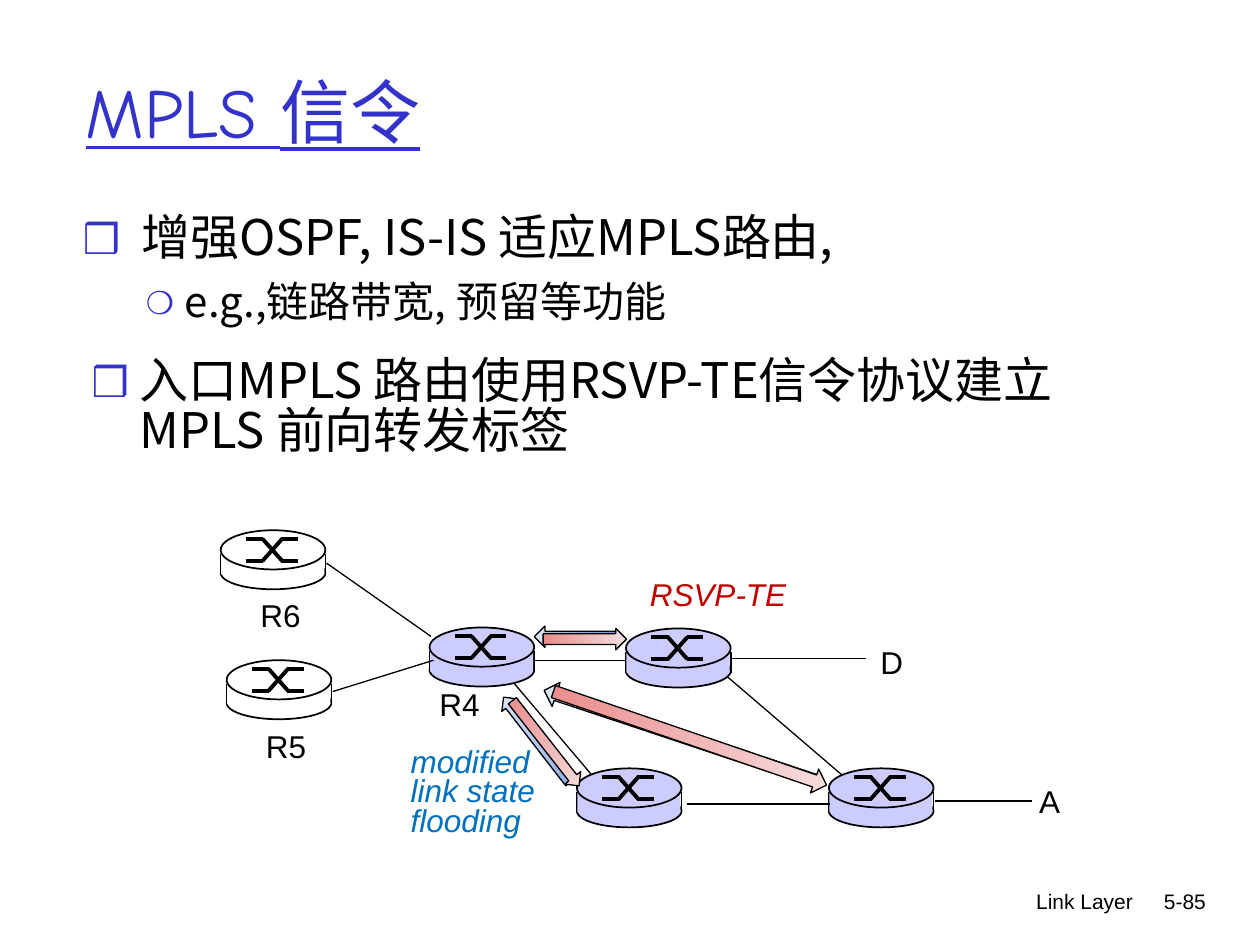
"""Build the slide on MPLS signalling."""
from lxml import etree
from pptx import Presentation
from pptx import util as u
from pptx.dml.color import RGBColor
from pptx.enum import shapes, text
from pptx.oxml.ns import qn

HUES = {
    "ink": "000000", "blue": "3333CC", "core": "CCCCFF", "edge": "FFFFFF",
    "note": "0070C0", "rsvp": "C00000",
    "cold": "8CADEA", "ice": "DEE6F7", "warm": "EA8C8C", "rose": "F7DEDE",
}
SANS, HAND, CJK = "Arial", "Comic Neue", "Noto Sans CJK SC"


def hue(name):
    """Return a named colour."""
    return RGBColor.from_string(HUES[name])


def style(para, size, face=SANS, color="ink", **flags):
    """Set the font of a paragraph, for Latin and East Asian text."""
    font = para.font
    font.size, font.name = u.Pt(size), face
    font.color.rgb = hue(color)
    for key, value in flags.items():
        setattr(font, key, value)
    node = para._p.pPr.find(qn("a:defRPr"))
    etree.SubElement(node, qn("a:ea")).set("typeface", CJK)


def bullet(para, mark, scale, left, hang):
    """Give a paragraph a coloured bullet and a hanging indent."""
    props = para._p.get_or_add_pPr()
    props.set("marL", str(u.Cm(left)))
    props.set("indent", str(-u.Cm(hang)))
    tint = etree.SubElement(props, qn("a:buClr"))
    etree.SubElement(tint, qn("a:srgbClr")).set("val", HUES["blue"])
    etree.SubElement(props, qn("a:buSzPct")).set("val", str(scale * 1000))
    etree.SubElement(props, qn("a:buFont")).set("typeface", CJK)
    etree.SubElement(props, qn("a:buChar")).set("char", mark)


def frame(slide, box, wrap=True):
    """Add a text box, grown to its text if unwrapped, and return its frame."""
    body = slide.shapes.add_textbox(*map(u.Cm, box)).text_frame
    body.word_wrap = wrap
    if not wrap:
        body.auto_size = text.MSO_AUTO_SIZE.SHAPE_TO_FIT_TEXT
    return body


def label(slide, box, lines, size=18, color="ink", align=None, lead=None, **flags):
    """Write short lines in one style."""
    body = frame(slide, box, align is not None)
    body.text = lines
    for para in body.paragraphs:
        para.alignment = align
        para.line_spacing = lead
        style(para, size, color=color, **flags)


def line(owner, ends, width):
    """Draw a straight black line."""
    link = owner.shapes.add_connector(
        shapes.MSO_CONNECTOR.STRAIGHT, *map(u.Cm, ends))
    link.line.color.rgb = hue("ink")
    link.line.width = u.Pt(width)
    etree.SubElement(link._element.spPr, qn("a:effectLst"))


def solid(owner, kind, box, fill, edged=True):
    """Add a filled shape, with or without an outline."""
    shape = owner.shapes.add_shape(kind, *map(u.Cm, box))
    shape.shadow.inherit = False
    shape.fill.solid()
    shape.fill.fore_color.rgb = hue(fill)
    if edged:
        shape.line.color.rgb = hue("ink")
        shape.line.width = u.Pt(1)
    else:
        shape.line.fill.background()


def router(slide, x, y, fill):
    """Draw a router whose top left corner is at x, y."""
    group = slide.shapes.add_group_shape()
    kinds = shapes.MSO_SHAPE
    wide = 2.11
    solid(group, kinds.OVAL, (x, y + 0.53, wide, 0.66), fill)
    for side in (x, x + wide):
        line(group, (side, y + 0.48, side, y + 0.89), 1)
    solid(group, kinds.RECTANGLE, (x + 0.01, y + 0.48, wide - 0.03, 0.41), fill, False)
    solid(group, kinds.OVAL, (x, y, wide, 0.79), fill)
    high, low = y + 0.17, y + 0.62
    for start, end in ((high, low), (low, high)):
        line(group, (x + 0.51, start, x + 0.86, start), 2.25)
        line(group, (x + 0.84, start, x + 1.24, end), 2.25)
        line(group, (x + 1.22, end, x + 1.55, end), 2.25)


def arrow(slide, box, turn, tones):
    """Draw a block arrow that fades towards its head."""
    shape = slide.shapes.add_shape(shapes.MSO_SHAPE.RIGHT_ARROW, *map(u.Cm, box))
    shape.rotation = turn
    shape.shadow.inherit = False
    shape.fill.gradient()
    shape.fill.gradient_angle = 0
    for stop, tone, place in zip(shape.fill.gradient_stops, tones, (0, 1)):
        stop.color.rgb = hue(tone)
        stop.position = place
    shape.line.color.rgb = hue("ink")
    shape.line.width = u.Pt(0.75)


def title(slide, box):
    """Place and format the title."""
    head = slide.shapes.title
    head.left, head.top, head.width, head.height = map(u.Cm, box)
    body = head.text_frame
    body.text = "MPLS 信令"
    body.vertical_anchor = text.MSO_ANCHOR.MIDDLE
    para = body.paragraphs[0]
    para.alignment = text.PP_ALIGN.LEFT
    style(para, 40, HAND, "blue", underline=True)


def points(slide, x, y):
    """Write the bulleted points from x, y down."""
    body = frame(slide, (x, y, 23.16, 3.76))
    body.text = "增强OSPF, IS-IS 适应MPLS路由,\ne.g.,链路带宽, 预留等功能"
    main, sub = body.paragraphs
    bullet(main, "❒", 85, 1.18, 1.18)
    style(main, 28, CJK)
    sub.level = 1
    sub.space_before = u.Pt(6)
    bullet(sub, "❍", 75, 2.06, 0.79)
    style(sub, 24, CJK)

    body = frame(slide, (x + 0.18, y + 3.07, 21.79, 2.95))
    body.text = "入口MPLS 路由使用RSVP-TE信令协议建立MPLS 前向转发标签"
    last = body.paragraphs[0]
    last.line_spacing = 0.85
    bullet(last, "❒", 85, 0.97, 0.97)
    style(last, 28, CJK)


def network(slide, x, y):
    """Draw routers, links, labels and message arrows from x, y."""
    for dx, dy, fill in (
            (12.26, 4.8, "core"), (7.18, 4.8, "core"), (8.17, 1.98, "core"),
            (4.21, 1.96, "core"), (0, 0, "edge"), (0.12, 2.62, "edge")):
        router(slide, x + dx, y + dy, fill)
    for ax, ay, bx, by in (
            (2.13, 0.66, 4.24, 2.14), (2.26, 3.25, 4.29, 2.62),
            (6.32, 2.62, 8.17, 2.62), (5.91, 3.08, 7.46, 4.91),
            (9.39, 5.52, 12.29, 5.52), (10.21, 2.95, 12.52, 4.93),
            (14.4, 5.46, 16.35, 5.46), (10.31, 2.59, 13, 2.59)):
        line(slide, (x + ax, y + ay, x + bx, y + by), 0.75)
    for name, dx, dy, wide in (
            ("D", 13.05, 2.14, 0.97), ("R4", 4.16, 3, 1.32),
            ("R5", 0.66, 3.84, 1.32), ("A", 16.25, 4.96, 0.91),
            ("R6", 0.55, 1.2, 1.32)):
        label(slide, (x + dx, y + dy, wide, 1.02), name)

    sizes = ((1.68, 0.43), (2.18, 0.41), (5.82, 0.51))
    cold = ((6.32, 1.93, 180), (5.28, 4.02, 232.3), (6.37, 3.89, 198.4))
    warm = ((6.5, 1.98, 0), (5.46, 4.09, 51.9), (6.55, 3.94, 18.9))
    for spots, tones in ((cold, ("cold", "ice")), (warm, ("warm", "rose"))):
        for (dx, dy, turn), size in zip(spots, sizes):
            arrow(slide, (x + dx, y + dy, *size), turn, tones)
    for words, box, color in (
            ("modified\nlink state\nflooding", (3.58, 4.3, 3.18, 2.06), "note"),
            ("RSVP-TE", (8.4, 0.94, 3.3, 0.86), "rsvp")):
        dx, dy, *size = box
        label(slide, (x + dx, y + dy, *size), words, color=color,
              lead=u.Pt(17), italic=True)


def footer(slide, y):
    """Write the chapter name and page number at height y."""
    for words, x, wide in (("Link Layer", 15.04, 8.05), ("5-85", 22.68, 1.88)):
        label(slide, (x, y, wide, 1.27), words, 12, align=text.PP_ALIGN.RIGHT)


def main():
    """Build and save the slide."""
    deck = Presentation()
    deck.slide_width, deck.slide_height = u.Cm(25.4), u.Cm(19.05)
    slide = deck.slides.add_slide(deck.slide_layouts[5])
    footer(slide, 17.78)
    title(slide, (1.47, 0.64, 21.59, 3.18))
    points(slide, 1.42, 4.04)
    network(slide, 4.45, 10.69)
    deck.save("out.pptx")


if __name__ == "__main__":
    main()
